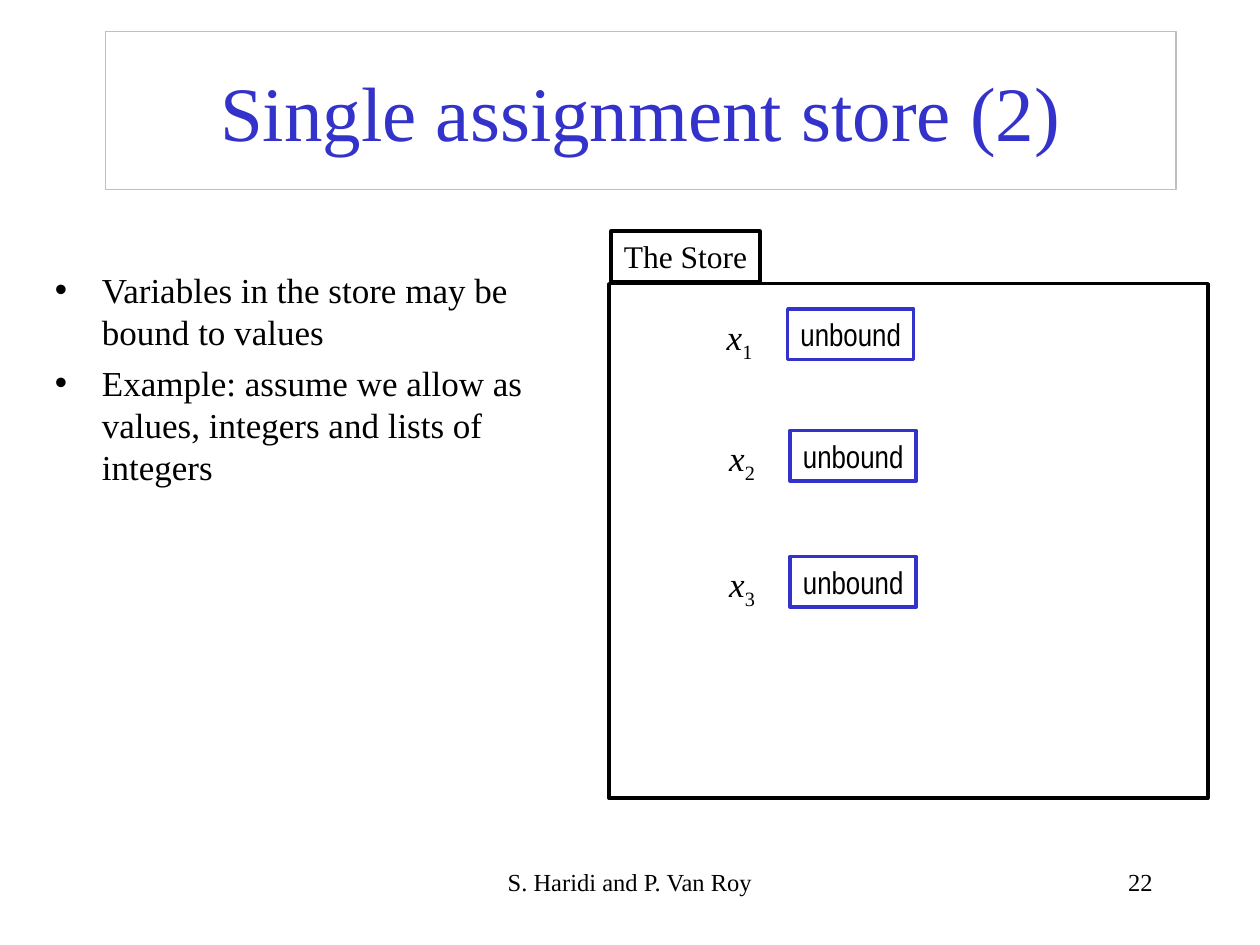
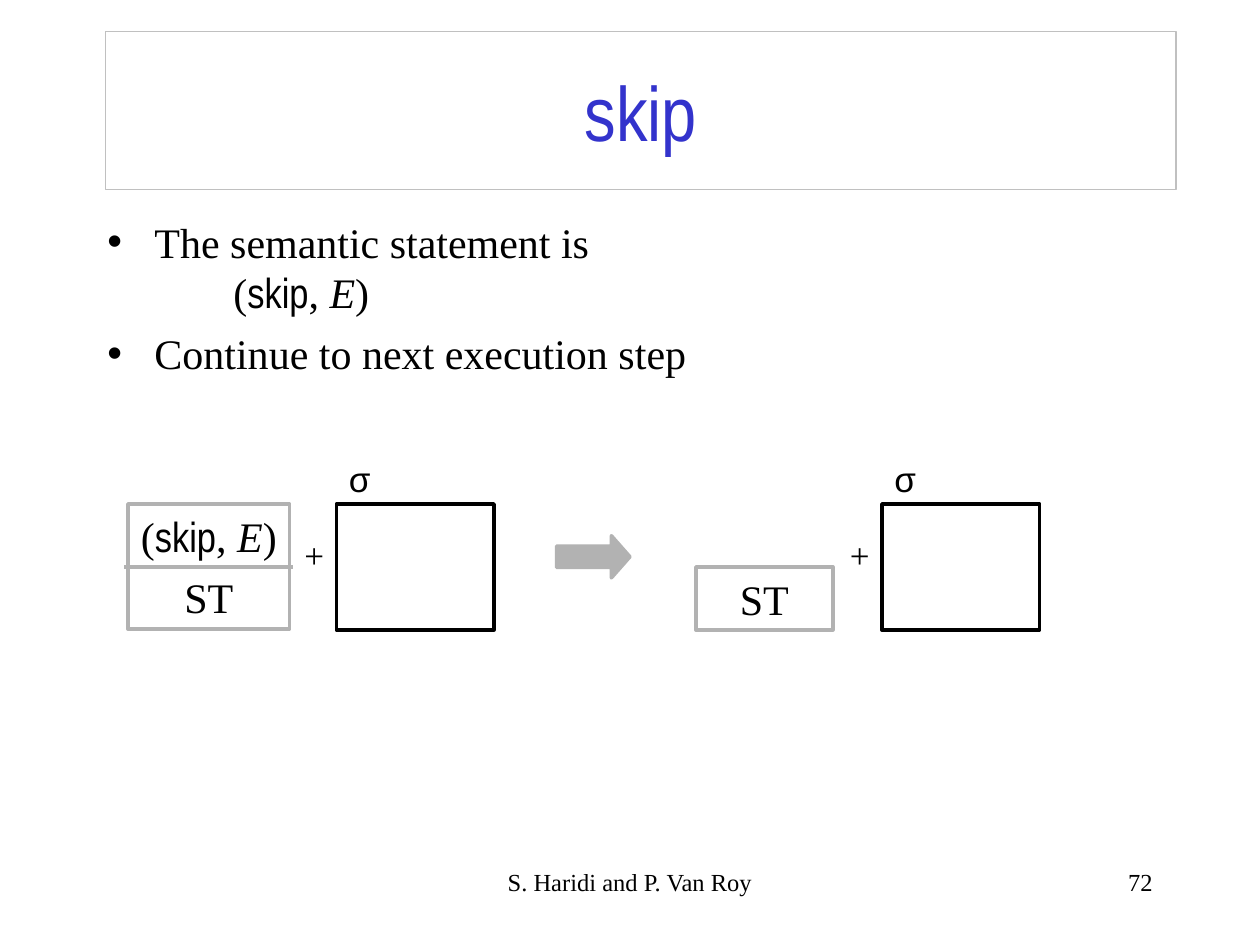
"""Build two slides on the single assignment store and the skip statement."""
from dataclasses import dataclass

from lxml import etree
from pptx import Presentation
from pptx import util as u
from pptx.dml.color import RGBColor
from pptx.enum import shapes, text
from pptx.oxml import ns


@dataclass(frozen=True)
class Theme:
    blue: str = "3333CC"
    black: str = "000000"
    frame: str = "C0C0C0"
    gray: str = "B2B2B2"
    serif: str = "Times New Roman"
    narrow: str = "Arial Narrow"
    sans: str = "Arial"
    head: int = 44
    lead: int = 24
    list: int = 20
    label: int = 18
    foot: int = 14
    thick: float = 2
    thin: float = 0.75


T = Theme()
FACES = {"roman": T.serif, "italic": T.serif, "sub": T.serif,
         "narrow": T.narrow, "sans": T.sans}
MID, LEFT, RIGHT = text.PP_ALIGN.CENTER, text.PP_ALIGN.LEFT, text.PP_ALIGN.RIGHT

SKIP = [("(", "roman"), ("skip", "narrow"), (", ", "roman"),
        ("E", "italic"), (")", "roman")]
REST = [("ST", "roman")]
AUTHORS = "S. Haridi and P. Van Roy"
TITLE = (2.12, 0.64, 21.59, 3.18)

STORE = {
    "title": [("Single assignment store (2)", "roman")],
    "body": (0.85, 5.29, 10.8, 7.83),
    "size": T.list, "gap": 5, "page": "22",
    "list": [
        [("Variables in the store may be bound to values", "roman")],
        [("Example: assume we allow as values, integers and lists of integers",
          "roman")],
    ],
}
STEP = {
    "title": [("skip", "narrow")],
    "body": (1.91, 4.23, 21.59, 4.45),
    "size": T.lead, "gap": 6, "page": "72",
    "list": [
        [("The semantic statement is ", "roman"), ("\v", "roman"),
         ("\t", "roman"), *SKIP],
        [("Continue to next execution step", "roman")],
    ],
}
CELLS = [("1", 14.4, 6.23), ("2", 14.45, 8.68), ("3", 14.45, 11.22)]
STATES = [6.78, 17.78]


def cm(place):
    """Turn centimetres into lengths."""
    return [u.Cm(n) for n in place]


def write(frame, paras, size, color=T.black, align=MID, gap=0, wrap=False,
          anchor=text.MSO_ANCHOR.TOP):
    """Fill a text frame with paragraphs made of (words, kind) parts."""
    frame.auto_size = text.MSO_AUTO_SIZE.NONE
    frame.word_wrap = wrap
    frame.vertical_anchor = anchor
    for n, parts in enumerate(paras):
        para = frame.add_paragraph() if n else frame.paragraphs[0]
        para.alignment, para.space_before = align, u.Pt(gap)
        for words, kind in parts:
            if words == "\v":
                para.add_line_break()
                etree.SubElement(para._p[-1], ns.qn("a:rPr"), sz=str(size * 100))
                continue
            run = para.add_run()
            run.text = words
            font = run.font
            font.name, font.size = FACES[kind], u.Pt(size)
            font.color.rgb = RGBColor.from_string(color)
            font.italic = kind == "italic"
            if kind == "sub":
                font._element.set("baseline", "-25000")


def stroke(item, color, width=T.thick):
    """Set a line colour and width."""
    item.line.color.rgb = RGBColor.from_string(color)
    item.line.width = u.Pt(width)


def box(slide, place, color, paras=(), size=T.label, gap=0):
    """Draw an open frame with centred text."""
    shape = slide.shapes.add_shape(shapes.MSO_SHAPE.RECTANGLE, *cm(place))
    shape.shadow.inherit = False
    shape.fill.background()
    stroke(shape, color)
    write(shape.text_frame, paras, size, gap=gap)


def label(slide, place, parts, size=T.list, align=MID, wrap=False):
    """Add a free line of text."""
    item = slide.shapes.add_textbox(*cm(place))
    write(item.text_frame, [parts], size, align=align, wrap=wrap)


def start(deck, data):
    """Add a slide with its title, list and footer."""
    slide = deck.slides.add_slide(deck.slide_layouts[1])
    title, body = slide.placeholders
    for item, place in ((title, TITLE), (body, data["body"])):
        item.left, item.top, item.width, item.height = cm(place)
    stroke(title, T.frame, T.thin)
    write(title.text_frame, [data["title"]], T.head, T.blue, wrap=True,
          anchor=text.MSO_ANCHOR.MIDDLE)
    write(body.text_frame, data["list"], data["size"], align=LEFT,
          gap=data["gap"], wrap=True)
    for para in body.text_frame.paragraphs:
        props = para._p.get_or_add_pPr()
        props.set("marL", str(u.Cm(0.95)))
        props.set("indent", str(-u.Cm(0.95)))
        tabs = etree.SubElement(props, ns.qn("a:tabLst"))
        etree.SubElement(tabs, ns.qn("a:tab"), pos=str(u.Cm(2.54)), algn="l")
    label(slide, (8.68, 17.36, 8.04, 1.27), [(AUTHORS, "roman")], T.foot,
          wrap=True)
    label(slide, (18.2, 17.36, 5.29, 1.27), [(data["page"], "roman")], T.foot,
          RIGHT, True)
    return slide


def store(deck):
    """Draw the store with its unbound variables."""
    slide = start(deck, STORE)
    box(slide, (12.28, 5.72, 12.07, 10.37), T.black)
    box(slide, (12.32, 4.66, 3, 1.02), T.black, [[("The Store", "roman")]])
    for index, left, top in CELLS:
        label(slide, (left, top, 1.02, 1.22), [("x", "italic"), (index, "sub")])
        box(slide, (left + 1.48, top, 2.54, 1.02), T.blue,
            [[("unbound", "narrow")]])


def step(deck):
    """Draw the state before and after the skip step."""
    slide = start(deck, STEP)
    box(slide, (2.58, 10.16, 3.26, 2.52), T.gray, [SKIP, REST], T.lead, 6)
    rule = slide.shapes.add_connector(shapes.MSO_CONNECTOR.STRAIGHT,
                                      *cm((2.51, 11.43, 5.9, 11.43)))
    stroke(rule, T.gray)
    etree.SubElement(rule._element.spPr, ns.qn("a:effectLst"))
    for left in STATES:
        box(slide, (left, 10.16, 3.18, 2.54), T.black)
        label(slide, (left, 9.1, 0.94, 1.11), [("σ", "sans")])
        label(slide, (left - 0.89, 10.63, 0.89, 1.11), [("+", "roman")])
    arrow = slide.shapes.add_shape(shapes.MSO_SHAPE.RIGHT_ARROW,
                                   *cm((11.22, 10.8, 1.48, 0.85)))
    arrow.adjustments[1] = 0.44
    arrow.shadow.inherit = False
    arrow.fill.solid()
    arrow.fill.fore_color.rgb = RGBColor.from_string(T.gray)
    stroke(arrow, T.gray)
    box(slide, (14.03, 11.43, 2.76, 1.27), T.gray, [REST], T.lead, 6)


def main():
    """Build and save the deck."""
    deck = Presentation()
    deck.slide_width, deck.slide_height = cm((25.4, 19.05))
    store(deck)
    step(deck)
    deck.save("out.pptx")


if __name__ == "__main__":
    main()
